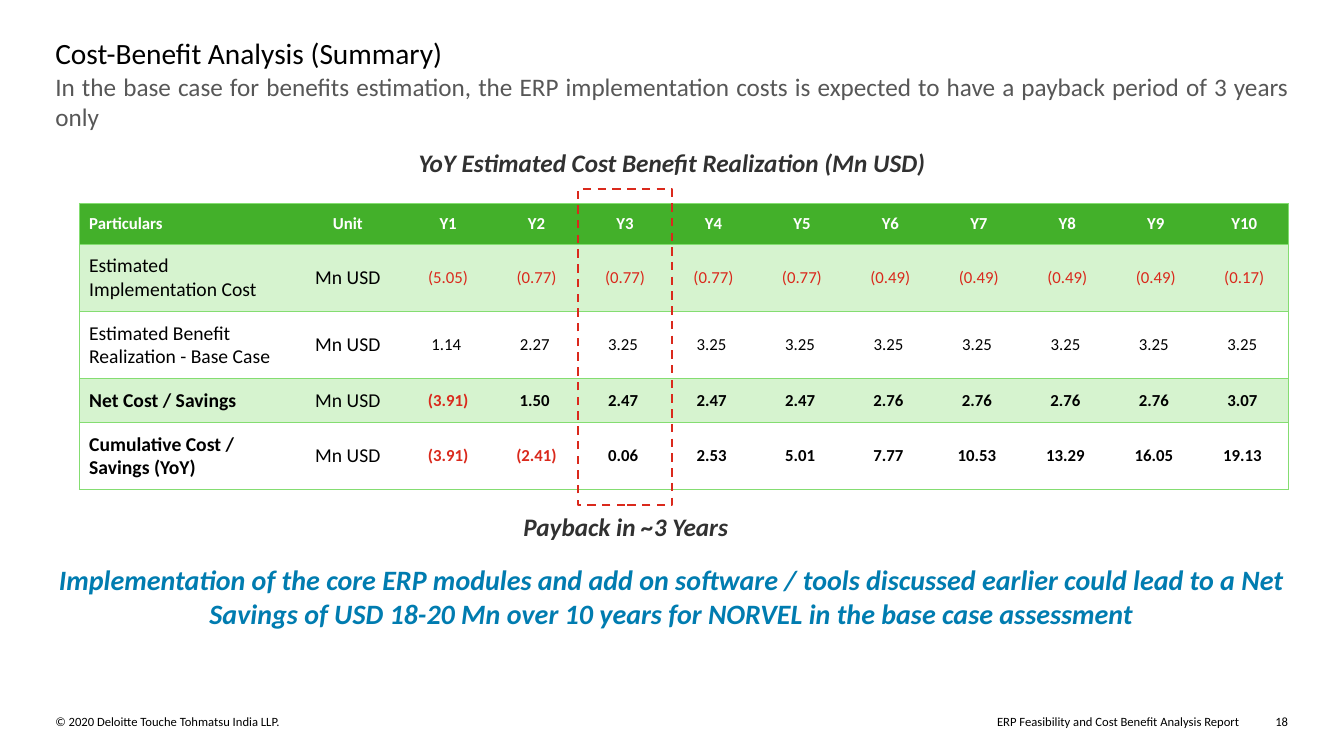
from pptx import Presentation
from pptx.dml.color import RGBColor
from pptx.enum.dml import MSO_LINE
from pptx.enum.shapes import MSO_SHAPE
from pptx.enum.text import MSO_ANCHOR, PP_ALIGN
from pptx.oxml.ns import qn
from pptx.util import Pt
from lxml import etree

LEFT, CENTER, RIGHT, JUSTIFY = PP_ALIGN.LEFT, PP_ALIGN.CENTER, PP_ALIGN.RIGHT, PP_ALIGN.JUSTIFY
MIDDLE, BOTTOM = MSO_ANCHOR.MIDDLE, MSO_ANCHOR.BOTTOM
RECTANGLE, DASH = MSO_SHAPE.RECTANGLE, MSO_LINE.DASH

BLACK = RGBColor(0x00, 0x00, 0x00)
WHITE = RGBColor(0xFF, 0xFF, 0xFF)
GREY = RGBColor(0x57, 0x57, 0x57)
DARK = RGBColor(0x31, 0x31, 0x31)
GREEN = RGBColor(0x43, 0xB0, 0x2A)
PALE_GREEN = RGBColor(0xD6, 0xF3, 0xCF)
RULE_GREEN = RGBColor(0x84, 0xDD, 0x71)
RED = RGBColor(0xDA, 0x29, 0x1C)
BLUE = RGBColor(0x00, 0x7C, 0xB0)

FONT = "Calibri"
YEARS = 10
PARTICULARS_WIDTH, UNIT_WIDTH = 152, 80
HEADER_HEIGHT = 28.8
COST_ROWS = [
    ("Estimated Implementation Cost", False, 48,
     [-5.05, -0.77, -0.77, -0.77, -0.77, -0.49, -0.49, -0.49, -0.49, -0.17]),
    ("Estimated Benefit Realization - Base Case", False, 48,
     [1.14, 2.27, 3.25, 3.25, 3.25, 3.25, 3.25, 3.25, 3.25, 3.25]),
    ("Net Cost / Savings", True, 31.2,
     [-3.91, 1.50, 2.47, 2.47, 2.47, 2.76, 2.76, 2.76, 2.76, 3.07]),
    ("Cumulative Cost / Savings (YoY)", True, 48,
     [-3.91, -2.41, 0.06, 2.53, 5.01, 7.77, 10.53, 13.29, 16.05, 19.13]),
]


def write(frame, text, size=12, color=BLACK, bold=False, italic=False, align=LEFT):
    """Put one formatted paragraph in a text frame."""
    paragraph = frame.paragraphs[0]
    paragraph.alignment = align
    run = paragraph.add_run()
    run.text = text
    run.font.name = FONT
    run.font.size = Pt(size)
    run.font.color.rgb = color
    run.font.bold = bold
    run.font.italic = italic


def add_text(slide, box, text, wrap=True, **style):
    """Add a text box without margins."""
    frame = slide.shapes.add_textbox(*map(Pt, box)).text_frame
    frame.margin_left = frame.margin_top = frame.margin_right = frame.margin_bottom = 0
    frame.word_wrap = wrap
    write(frame, text, **style)


def add_heading(slide, box):
    """Add the title and the message below it."""
    left, top, width, height = box
    title_height = 26
    add_text(slide, (left, top, width, title_height), "Cost-Benefit Analysis (Summary)", size=21)
    add_text(slide, (left, top + title_height, width, height - title_height),
             "In the base case for benefits estimation, the ERP implementation costs is "
             "expected to have a payback period of 3 years only",
             size=18, color=GREY, align=JUSTIFY)


def set_borders(cell, first, last):
    """Rule a cell above and below, and at the table's outer sides."""
    properties = cell._tc.get_or_add_tcPr()
    for side, ruled in (("L", first), ("R", last), ("T", True), ("B", True)):
        border = etree.SubElement(properties, qn(f"a:ln{side}"), w=str(Pt(0.5)))
        if ruled:
            fill = etree.SubElement(border, qn("a:solidFill"))
            etree.SubElement(fill, qn("a:srgbClr"), val=str(RULE_GREEN))
        else:
            etree.SubElement(border, qn("a:noFill"))


def fill_cell(cell, text, column, fill, margin=7.2, anchor=MIDDLE, **style):
    """Set the borders, fill, margins and text of a cell."""
    set_borders(cell, column == 0, column == YEARS + 1)
    if fill is None:
        cell.fill.background()
    else:
        cell.fill.solid()
        cell.fill.fore_color.rgb = fill
    cell.margin_left = cell.margin_top = cell.margin_right = cell.margin_bottom = Pt(margin)
    cell.vertical_anchor = anchor
    write(cell.text_frame, text, align=CENTER if column else LEFT, **style)


def add_cost_table(slide, box):
    """Add the table of yearly costs and benefits."""
    width = box[2]
    table = slide.shapes.add_table(len(COST_ROWS) + 1, YEARS + 2, *map(Pt, box)).table
    table.first_row = table.horz_banding = False
    year_width = (width - PARTICULARS_WIDTH - UNIT_WIDTH) / YEARS
    for column, column_width in zip(table.columns,
                                    [PARTICULARS_WIDTH, UNIT_WIDTH] + [year_width] * YEARS):
        column.width = Pt(column_width)

    table.rows[0].height = Pt(HEADER_HEIGHT)
    headers = ["Particulars", "Unit"] + [f"Y{year}" for year in range(1, YEARS + 1)]
    for column, header in enumerate(headers):
        fill_cell(table.cell(0, column), header, column, GREEN,
                  anchor=BOTTOM, color=WHITE, bold=True)

    for row, (particular, bold, height, amounts) in enumerate(COST_ROWS, 1):
        table.rows[row].height = Pt(height)
        fill = PALE_GREEN if row % 2 else None
        fill_cell(table.cell(row, 0), particular, 0, fill, size=14, bold=bold)
        fill_cell(table.cell(row, 1), "Mn USD", 1, fill, size=14)
        for column, amount in enumerate(amounts, 2):
            text = f"({-amount:.2f})" if amount < 0 else f"{amount:.2f} "
            fill_cell(table.cell(row, column), text, column, fill, margin=0.7,
                      color=RED if amount < 0 else BLACK, bold=bold)


def add_payback_frame(slide, box):
    """Add the dashed frame around the payback year."""
    frame = slide.shapes.add_shape(RECTANGLE, *map(Pt, box))
    frame.shadow.inherit = False
    frame.fill.background()
    frame.line.color.rgb = RED
    frame.line.width = Pt(1.5)
    frame.line.dash_style = DASH


def add_footer(slide, box):
    """Add the copyright line, report name and page number."""
    left, top, width, height = box
    add_text(slide, (left, top, 422, height), "© 2020 Deloitte Touche Tohmatsu India LLP.", size=9)
    add_text(slide, (left + width - 421.5, top, 385.5, height),
             "ERP Feasibility and Cost Benefit Analysis Report", size=9, align=RIGHT)
    add_text(slide, (left + width - 10, top, 10, height), "18", wrap=False, size=9)


def main():
    """Build and save the slide."""
    presentation = Presentation()
    presentation.slide_width, presentation.slide_height = Pt(960), Pt(540)
    slide = presentation.slides.add_slide(presentation.slide_layouts[6])
    caption = {"size": 18, "color": DARK, "bold": True, "italic": True, "align": CENTER}
    add_footer(slide, (39.5, 510, 881.5, 11))
    add_heading(slide, (39.5, 25, 881.5, 86))
    add_text(slide, (289, 105, 382, 22), "YoY Estimated Cost Benefit Realization (Mn USD)", **caption)
    add_cost_table(slide, (56.5, 145.5, 864, 204))
    add_payback_frame(slide, (413, 135, 67, 226))
    add_text(slide, (260, 365, 374, 22), "Payback in ~3 Years", **caption)
    add_text(slide, (36.5, 402, 886.5, 48),
             "Implementation of the core ERP modules and add on software / tools discussed "
             "earlier could lead to a Net Savings of USD 18-20 Mn over 10 years for NORVEL "
             "in the base case assessment",
             **{**caption, "size": 20, "color": BLUE})
    presentation.save("out.pptx")


if __name__ == "__main__":
    main()
